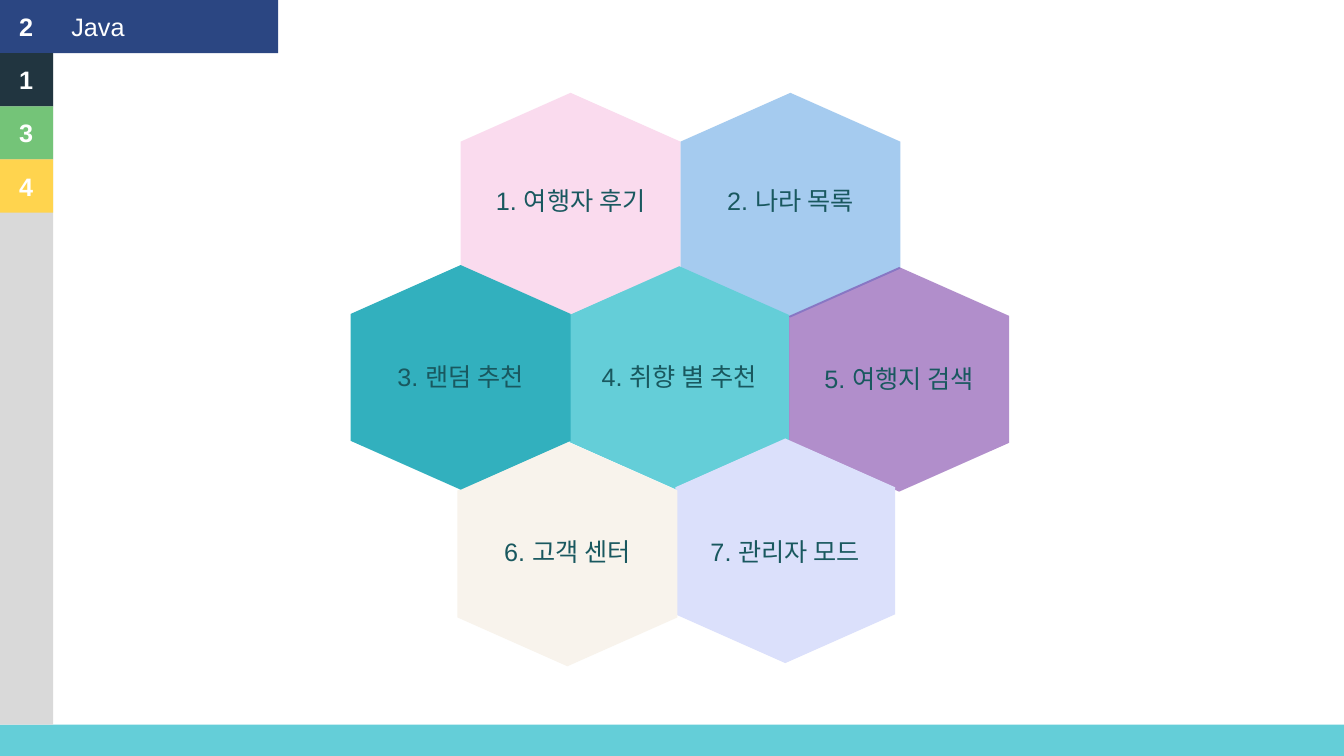
from lxml.etree import SubElement
from pptx import Presentation
from pptx.dml.color import RGBColor
from pptx.enum.text import MSO_AUTO_SIZE, PP_ALIGN
from pptx.oxml.ns import qn
from pptx.enum.shapes import MSO_SHAPE
from pptx.util import Cm, Pt

SLIDE_WIDTH, SLIDE_HEIGHT = 33.87, 19.05
FOOTER_HEIGHT = 0.79
TAB_SIZE = 1.34
HEADING_WIDTH = 7.01
HEXAGON_WIDTH, HEXAGON_HEIGHT = 5.54, 5.66
SHOULDER = 1.23
LABEL_HEIGHT = 1.02
WHITE, LABEL_COLOR = "FFFFFF", "19585F"

# number, colour, width
TABS = [
    ("2", "2B4682", HEADING_WIDTH),
    ("1", "213540", TAB_SIZE),
    ("3", "74C478", TAB_SIZE),
    ("4", "FFD44E", TAB_SIZE),
]

# label, left, top, label top, colour, opacity in percent; from back to front
MENU = [
    ("2. 나라 목록", 17.15, 2.34, 4.55, "A5CBEF", 100),
    ("1. 여행자 후기", 11.61, 2.34, 4.55, "FADBEE", 100),
    ("4. 취향 별 추천", 14.35, 6.71, 8.99, "64CED8", 100),
    ("5. 여행지 검색", 19.89, 6.73, 9.04, "7030A0", 54),
    ("7. 관리자 모드", 17.02, 11.05, 13.39, "DBE0FB", 100),
    ("6. 고객 센터", 11.53, 11.13, 13.39, "F8F3EC", 100),
    ("3. 랜덤 추천", 8.84, 6.68, 8.99, "32B0BE", 100),
]


def paint(shape, color, opacity=100):
    shape.shadow.inherit = False
    shape.line.fill.background()
    shape.fill.solid()
    shape.fill.fore_color.rgb = RGBColor.from_string(color)
    if opacity < 100:
        color_element = shape.fill._xPr.find(qn("a:solidFill"))[0]
        SubElement(color_element, qn("a:alpha"), val=str(opacity * 1000))


def add_block(slide, left, top, width, height, color):
    block = slide.shapes.add_shape(
        MSO_SHAPE.RECTANGLE, Cm(left), Cm(top), Cm(width), Cm(height))
    paint(block, color)


def add_label(slide, left, top, width, text, color, bold=False,
              wrap=False, alignment=PP_ALIGN.LEFT):
    box = slide.shapes.add_textbox(
        Cm(left), Cm(top), Cm(width), Cm(LABEL_HEIGHT))
    frame = box.text_frame
    frame.word_wrap = wrap
    frame.auto_size = MSO_AUTO_SIZE.SHAPE_TO_FIT_TEXT
    paragraph = frame.paragraphs[0]
    paragraph.alignment = alignment
    run = paragraph.add_run()
    run.text = text
    run.font.name = "Arial"
    run.font.size = Pt(18)
    run.font.bold = bold
    run.font.color.rgb = RGBColor.from_string(color)


def add_hexagon(slide, left, top, color, opacity):
    """Draw an upright hexagon with a point at the top and the bottom."""
    middle, right = left + HEXAGON_WIDTH / 2, left + HEXAGON_WIDTH
    bottom = top + HEXAGON_HEIGHT
    upper, lower = top + SHOULDER, bottom - SHOULDER
    corners = [(right, upper), (right, lower), (middle, bottom),
               (left, lower), (left, upper)]
    builder = slide.shapes.build_freeform(Cm(middle), Cm(top))
    builder.add_line_segments([(Cm(x), Cm(y)) for x, y in corners], close=True)
    paint(builder.convert_to_shape(), color, opacity)


def add_sidebar(slide, left, top, height):
    add_block(slide, left, top, TAB_SIZE, height, "D9D9D9")
    inset = (TAB_SIZE - LABEL_HEIGHT) / 2
    for row, (number, color, width) in enumerate(TABS):
        tab_top = top + row * TAB_SIZE
        add_block(slide, left, tab_top, width, TAB_SIZE, color)
        add_label(slide, left + 0.23, tab_top + inset, 0.89, number, WHITE,
                  bold=True)
    add_label(slide, left + 1.55, top + inset, 1.85, "Java", WHITE)


def add_menu(slide):
    """Draw the honeycomb first, so that every label lies above it."""
    for _, left, top, _, color, opacity in MENU:
        add_hexagon(slide, left, top, color, opacity)
    margin = 0.08
    for text, left, _, label_top, _, _ in MENU:
        add_label(slide, left + margin, label_top, HEXAGON_WIDTH - 2 * margin,
                  text, LABEL_COLOR, wrap=True, alignment=PP_ALIGN.CENTER)


def main():
    presentation = Presentation()
    presentation.slide_width = Cm(SLIDE_WIDTH)
    presentation.slide_height = Cm(SLIDE_HEIGHT)
    slide = presentation.slides.add_slide(presentation.slide_layouts[6])
    footer_top = SLIDE_HEIGHT - FOOTER_HEIGHT
    add_block(slide, 0, footer_top, SLIDE_WIDTH, FOOTER_HEIGHT, "64CED8")
    add_sidebar(slide, 0, 0, footer_top)
    add_menu(slide)
    presentation.save("out.pptx")


if __name__ == "__main__":
    main()
